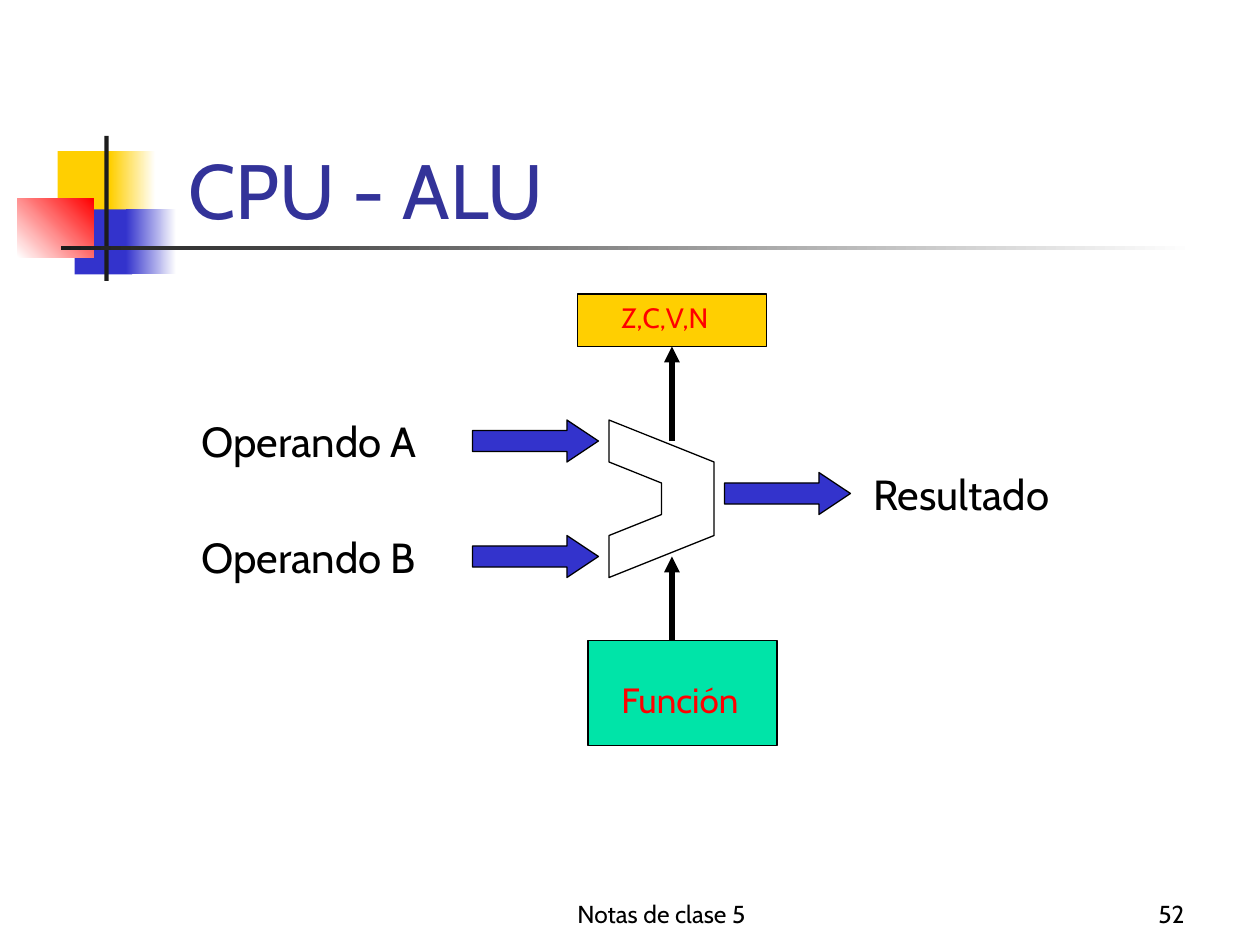
from typing import NamedTuple, Optional

from lxml import etree
from pptx import Presentation
from pptx import util as u
from pptx.dml.color import RGBColor
from pptx.enum import shapes, text
from pptx.oxml.ns import qn

CELL = u.Inches(1) // 12  # the slide is a grid of 120 columns by 90 rows
COLUMNS, ROWS = 120, 90
FONT = "Cabin"

BLACK = RGBColor(0x00, 0x00, 0x00)
WHITE = RGBColor(0xFF, 0xFF, 0xFF)
CHARCOAL = RGBColor(0x1C, 0x1C, 0x1C)
YELLOW = RGBColor(0xFF, 0xCF, 0x01)
BLUE = RGBColor(0x33, 0x33, 0xCC)
NAVY = RGBColor(0x33, 0x33, 0x99)
RED = RGBColor(0xFF, 0x00, 0x00)
GREEN = RGBColor(0x00, 0xE4, 0xA8)


class Area(NamedTuple):
    """A rectangle in grid columns and rows."""
    col: float
    row: float
    cols: float
    rows: float

    def emu(self) -> list[int]:
        return [grid(n) for n in self]


class Ornament(NamedTuple):
    area: Area
    color: RGBColor
    fade_to: Optional[RGBColor] = None
    angle: float = 0


ORNAMENTS = [
    Ornament(Area(5.5, 14.4, 5.8, 6.25), YELLOW),
    Ornament(Area(10.5, 14.4, 4.3, 6.25), YELLOW, WHITE),
    Ornament(Area(7.1, 19.95, 5.5, 6.2), BLUE),
    Ornament(Area(12, 19.95, 4.8, 6.2), BLUE, WHITE),
    Ornament(Area(1.65, 18.95, 7.3, 5.55), WHITE, RED, 45),
    Ornament(Area(9.95, 12.95, 0.4, 13.8), CHARCOAL),
    Ornament(Area(5.8, 23.4, 108, 0.4), CHARCOAL, WHITE),
]
ALU_OUTLINE = [(58, 40), (68, 44), (68, 51), (58, 55),
               (58, 51), (63, 49), (63, 46), (58, 44)]
DATA_ARROWS = [(45, 40), (45, 51), (69, 45)]
DATA_LABELS = [("Operando A", 18, 39), ("Operando B", 18, 50), ("Resultado", 82, 44)]
SIGNAL_COLUMN = 64


def grid(cells: float) -> int:
    return round(cells * CELL)


def outline(shape) -> None:
    shape.line.color.rgb = BLACK
    shape.line.width = u.Pt(0.75)


def add_ornament(slide, ornament: Ornament) -> None:
    block = slide.shapes.add_shape(shapes.MSO_SHAPE.RECTANGLE, *ornament.area.emu())
    block.shadow.inherit = False
    block.line.fill.background()
    if ornament.fade_to is None:
        block.fill.solid()
        block.fill.fore_color.rgb = ornament.color
        return
    block.fill.gradient()
    block.fill.gradient_angle = ornament.angle
    for stop, color in zip(block.fill.gradient_stops, (ornament.color, ornament.fade_to)):
        stop.color.rgb = color


def add_block(slide, kind: shapes.MSO_SHAPE, area: Area, color: RGBColor):
    block = slide.shapes.add_shape(kind, *area.emu())
    block.shadow.inherit = False
    block.fill.solid()
    block.fill.fore_color.rgb = color
    outline(block)
    return block


def add_alu(slide) -> None:
    start, *corners = ALU_OUTLINE
    builder = slide.shapes.build_freeform(*start, scale=CELL)
    builder.add_line_segments(corners, close=True)
    alu = builder.convert_to_shape()
    alu.shadow.inherit = False
    alu.fill.background()
    outline(alu)


def add_signal(slide, from_row: float, to_row: float):
    """Draw an upward control arrow between two rows."""
    column = grid(SIGNAL_COLUMN)
    signal = slide.shapes.add_connector(
        shapes.MSO_CONNECTOR.STRAIGHT, column, grid(from_row), column, grid(to_row))
    signal.line.color.rgb = BLACK
    signal.line.width = u.Pt(3)
    etree.SubElement(signal.line._get_or_add_ln(), qn("a:tailEnd"), type="triangle")
    etree.SubElement(signal._element.spPr, qn("a:effectLst"))
    return signal


def add_text(slide, words: str, area: Area, *, size: float, color: RGBColor = BLACK,
             align=text.PP_ALIGN.LEFT, anchor=text.MSO_ANCHOR.TOP) -> None:
    frame = slide.shapes.add_textbox(*area.emu()).text_frame
    frame.word_wrap = True
    frame.vertical_anchor = anchor
    paragraph = frame.paragraphs[0]
    paragraph.alignment = align
    run = paragraph.add_run()
    run.text = words
    run.font.name = FONT
    run.font.size = u.Pt(size)
    run.font.color.rgb = color


def main() -> None:
    deck = Presentation()
    deck.slide_width, deck.slide_height = grid(COLUMNS), grid(ROWS)
    slide = deck.slides.add_slide(deck.slide_layouts[6])

    for ornament in ORNAMENTS:
        add_ornament(slide, ornament)
    bottom = text.MSO_ANCHOR.BOTTOM
    add_text(slide, "Notas de clase 5", Area(44, 83, 38, 6), size=14,
             align=text.PP_ALIGN.CENTER, anchor=bottom)
    add_text(slide, "52", Area(89, 83, 25, 6), size=14,
             align=text.PP_ALIGN.RIGHT, anchor=bottom)
    add_text(slide, " CPU - ALU", Area(15.1, 8, 102.2, 15), size=44,
             color=NAVY, anchor=bottom)

    flags = add_block(slide, shapes.MSO_SHAPE.RECTANGLE, Area(55, 28, 18, 5), YELLOW)
    add_alu(slide)
    for col, row in DATA_ARROWS:
        arrow = add_block(slide, shapes.MSO_SHAPE.RIGHT_ARROW, Area(col, row, 12, 4), BLUE)
        arrow.adjustments[0] = 0.5
        arrow.adjustments[1] = 0.75
    add_block(slide, shapes.MSO_SHAPE.RECTANGLE, Area(56, 61, 18, 10), GREEN)
    add_signal(slide, 61, 53)
    add_signal(slide, 42, 33).end_connect(flags, 2)

    for words, col, row in DATA_LABELS:
        add_text(slide, words, Area(col, row, 26, 6), size=24)
    add_text(slide, "Z,C,V,N", Area(58, 28, 13, 4.4), size=16, color=RED)
    add_text(slide, "Función", Area(58, 64, 14, 9.2), size=20, color=RED)

    deck.save("out.pptx")


if __name__ == "__main__":
    main()
